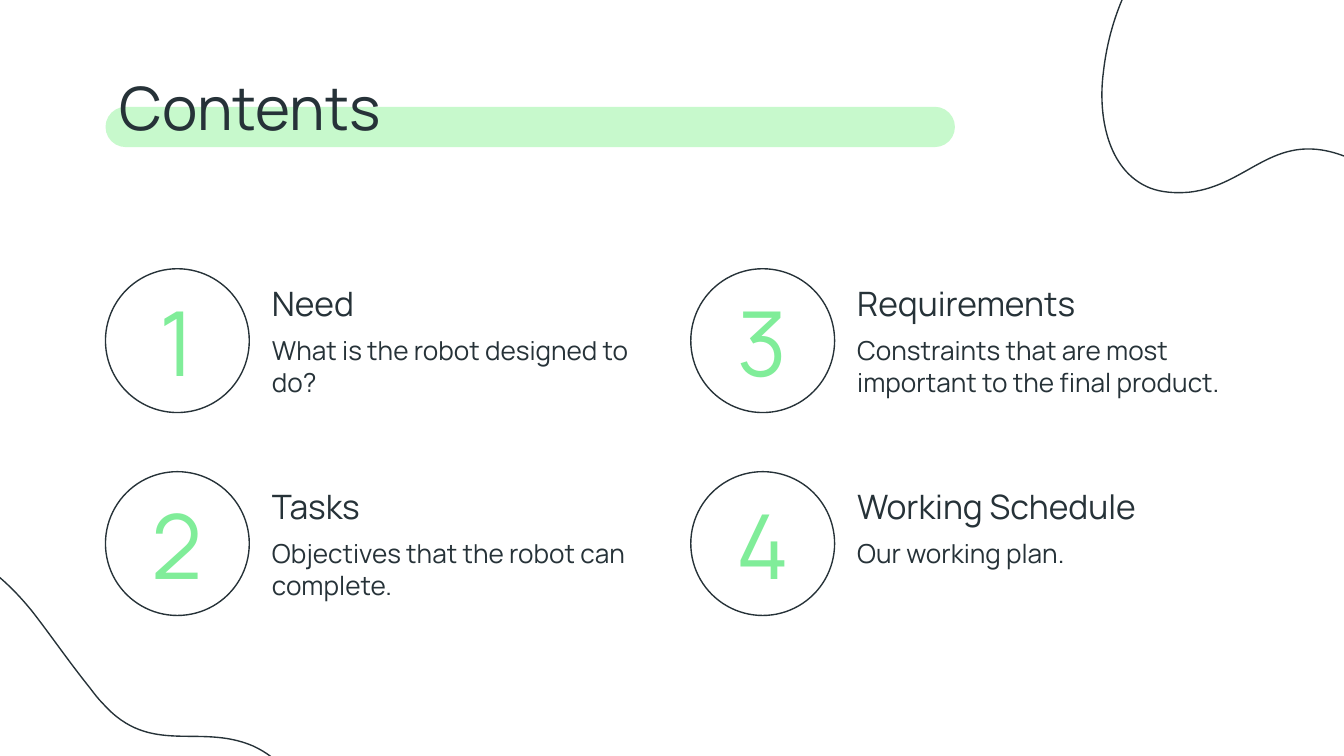
from lxml.etree import SubElement
from pptx import Presentation
from pptx.dml.color import RGBColor
from pptx.enum.shapes import MSO_SHAPE
from pptx.enum.text import MSO_ANCHOR, PP_ALIGN
from pptx.oxml.ns import qn
from pptx.util import Emu, Pt

PX = 4572  # EMU per px, 200 px to the inch
INK = RGBColor(0x26, 0x32, 0x38)
GREEN = RGBColor(0x80, 0xED, 0x99)
MINT = RGBColor(0xC7, 0xF9, 0xCC)
FONT = "Manrope"

# Each blob is a start point and the cubic curves that follow it, in px.
TOP_BLOB = (1712, 280), [
    (1728, 286, 1748, 288, 1770, 286), (1858, 276, 1894, 196, 1994, 230),
    (2004, 234, 2014, 236, 2024, 240), (2070, 258, 2112, 280, 2154, 296),
    (2206, 316, 2258, 328, 2324, 318), (2438, 304, 2486, 236, 2500, 142),
    (2528, -22, 2424, -142, 2274, -200), (2210, -224, 2138, -236, 2064, -236),
    (1828, -236, 1664, -92, 1642, 108), (1634, 168, 1646, 254, 1712, 280)]
LOW_BLOB = (424, 1146), [
    (412, 1132, 398, 1120, 376, 1110), (296, 1076, 224, 1126, 154, 1048),
    (146, 1040, 140, 1032, 134, 1024), (102, 984, 76, 946, 48, 910),
    (14, 868, -26, 832, -88, 806), (-194, 762, -268, 798, -330, 872),
    (-434, 1000, -404, 1156, -304, 1280), (-260, 1334, -204, 1380, -140, 1418),
    (64, 1534, 278, 1492, 398, 1330), (434, 1282, 468, 1200, 424, 1146)]

ITEMS = [
    ("Need", "What is the robot designed to do?"),
    ("Tasks", "Objectives that the robot can complete."),
    ("Requirements", "Constraints that are most important to the final product."),
    ("Working Schedule", "Our working plan."),
]


def px(*nums):
    return [Emu(n * PX) for n in nums]


def outline(shape):
    shape.shadow.inherit = False
    shape.fill.background()
    shape.line.color.rgb = INK
    shape.line.width = Pt(0.75)


def add_blob(slide, start, curves):
    """Draw a closed outline, joining each three points into one cubic curve."""
    pen = slide.shapes.build_freeform(*start, scale=PX)
    for curve in curves:
        pen.add_line_segments(zip(curve[::2], curve[1::2]), close=False)
    blob = pen.convert_to_shape()
    track = next(blob.element.iter(qn("a:path")))
    lines = track.findall(qn("a:lnTo"))
    for i in range(0, len(lines), 3):
        curve = SubElement(track, qn("a:cubicBezTo"))
        for line in lines[i:i + 3]:
            curve.append(line[0])
            track.remove(line)
    SubElement(track, qn("a:close"))
    outline(blob)


def add_text(slide, box, text, size, color=INK, mid=False):
    frame = slide.shapes.add_textbox(*px(*box)).text_frame
    frame.word_wrap = True
    (frame.margin_left, frame.margin_top,
     frame.margin_right, frame.margin_bottom) = px(20, 20, 20, 20)
    frame.vertical_anchor = MSO_ANCHOR.MIDDLE if mid else MSO_ANCHOR.TOP
    frame.text = text
    para = frame.paragraphs[0]
    para.alignment = PP_ALIGN.CENTER if mid else PP_ALIGN.LEFT
    font = para.runs[0].font
    font.name, font.size, font.color.rgb = FONT, Pt(size), color


def add_title(slide, x, y, text):
    bar = slide.shapes.add_shape(MSO_SHAPE.ROUNDED_RECTANGLE,
                                 *px(x, y + 74, 1264, 60))
    bar.adjustments[0] = 0.5
    bar.shadow.inherit = False
    bar.fill.solid()
    bar.fill.fore_color.rgb = MINT
    bar.line.fill.background()
    add_text(slide, (x + 1, y, 1686, 134), text, 32)


def add_item(slide, x, y, num, head, body):
    ring = slide.shapes.add_shape(MSO_SHAPE.OVAL, *px(x, y, 214, 214))
    outline(ring)
    add_text(slide, (x + 10, y + 30, 194, 154), str(num), 48, GREEN, mid=True)
    add_text(slide, (x + 228, y + 1, 586, 82), head, 18)
    add_text(slide, (x + 228, y + 78, 586, 134), body, 14)


def add_contents(slide, x, y, items):
    """Number the items down each column of two."""
    for i, (head, body) in enumerate(items):
        col, row = divmod(i, 2)
        add_item(slide, x + col * 871, y + row * 302, i + 1, head, body)


def main():
    deck = Presentation()
    deck.slide_width, deck.slide_height = px(2000, 1125)
    slide = deck.slides.add_slide(deck.slide_layouts[6])
    add_blob(slide, *TOP_BLOB)
    add_blob(slide, *LOW_BLOB)
    add_title(slide, 157, 85, "Contents")
    add_contents(slide, 157, 400, ITEMS)
    deck.save("out.pptx")


if __name__ == "__main__":
    main()
